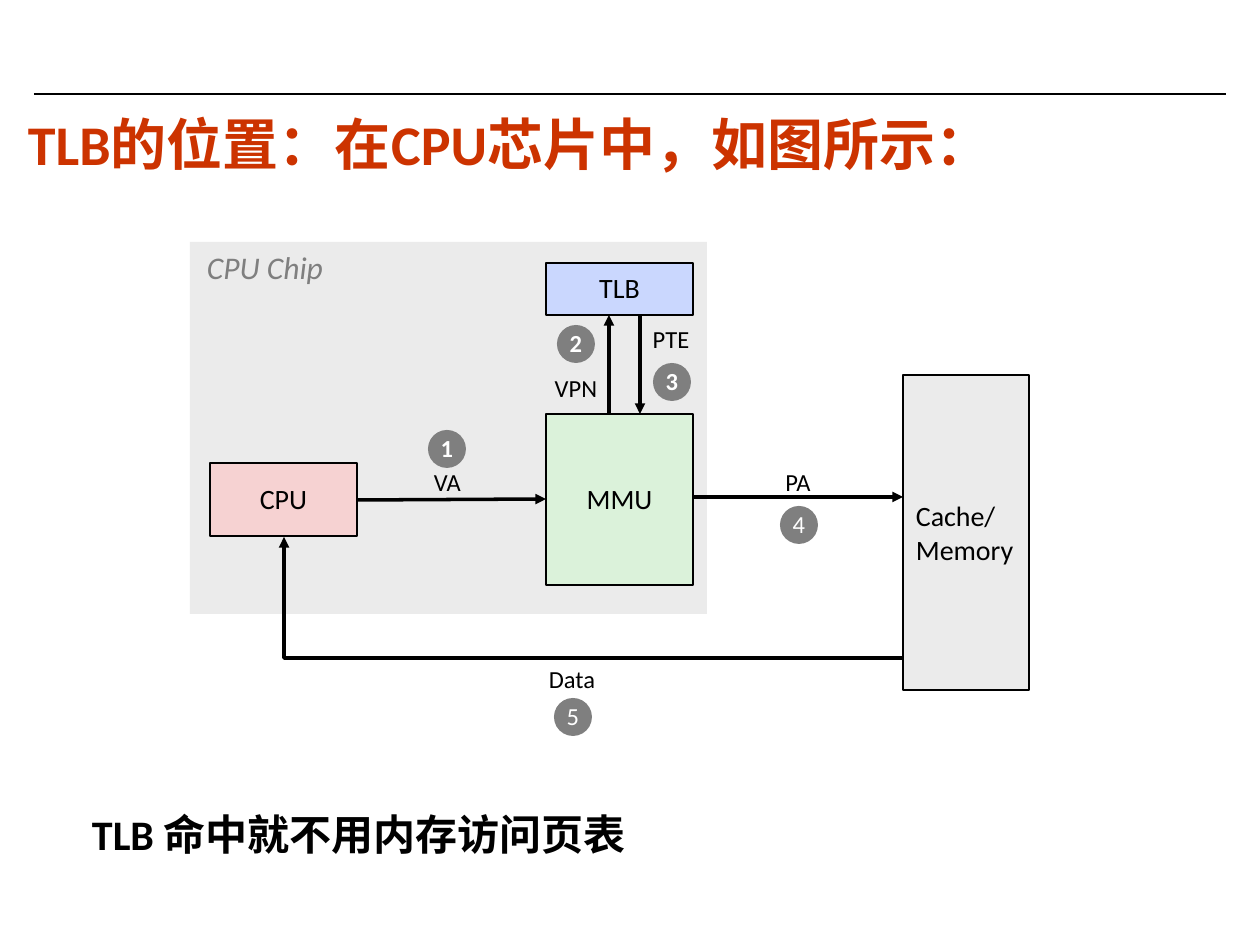
from lxml import etree
from pptx import Presentation
from pptx.dml.color import RGBColor
from pptx.enum.shapes import MSO_CONNECTOR, MSO_SHAPE
from pptx.enum.text import MSO_ANCHOR, MSO_AUTO_SIZE, PP_ALIGN
from pptx.oxml.ns import qn
from pptx.util import Emu, Pt

RECT, OVAL = MSO_SHAPE.RECTANGLE, MSO_SHAPE.OVAL
STRAIGHT = MSO_CONNECTOR.STRAIGHT
LEFT, CENTER = PP_ALIGN.LEFT, PP_ALIGN.CENTER
TOP, MIDDLE = MSO_ANCHOR.TOP, MSO_ANCHOR.MIDDLE
GROW = MSO_AUTO_SIZE.SHAPE_TO_FIT_TEXT
PX = 914400 / 126
BLACK, GRAY, PALE = "000000", "7F7F7F", "EBEBEB"

prs = Presentation()
prs.slide_width, prs.slide_height = Emu(9144000), Emu(6858000)
slide = prs.slides.add_slide(prs.slide_layouts[6])


def put_text(text, at, shape=None, fill=None, border=None, size=14, color=BLACK,
             bold=False, italic=False, align=CENTER, anchor=MIDDLE, spacing=0.98,
             wrap=False, inset=(13, 6)):
    """Place text in a plain box, or in a filled preset shape."""
    place = [Emu(round(n * PX)) for n in at]
    if shape is None:
        box = slide.shapes.add_textbox(*place)
    else:
        box = slide.shapes.add_shape(shape, *place)
        box.shadow.inherit = False
        box.fill.solid()
        box.fill.fore_color.rgb = RGBColor.from_string(fill)
        if border:
            box.line.color.rgb = RGBColor.from_string(BLACK)
            box.line.width = Pt(border)
        else:
            box.line.fill.background()
    frame = box.text_frame
    frame.word_wrap, frame.vertical_anchor = wrap, anchor
    if shape is None and not wrap:
        frame.auto_size = GROW
    frame.margin_left = frame.margin_right = Emu(round(inset[0] * PX))
    frame.margin_top = frame.margin_bottom = Emu(round(inset[1] * PX))
    frame.text = text
    for paragraph in frame.paragraphs:
        paragraph.alignment, paragraph.line_spacing = align, spacing
        font = paragraph.font
        font.name, font.size = "Calibri", Pt(size)
        font.bold, font.italic = bold, italic
        font.color.rgb = RGBColor.from_string(color)


def draw_line(x1, y1, x2, y2, width=2, arrow=True):
    line = slide.shapes.add_connector(
        STRAIGHT, *[Emu(round(n * PX)) for n in (x1, y1, x2, y2)])
    line.line.color.rgb = RGBColor.from_string(BLACK)
    line.line.width = Pt(width)
    if arrow:
        etree.SubElement(line.line._get_or_add_ln(), qn("a:tailEnd"), type="triangle")
    etree.SubElement(line._element.spPr, qn("a:effectLst"))
    return line


# Heading
draw_line(34, 94, 1226, 94, width=1.5, arrow=False)
put_text("TLB的位置：在CPU芯片中，如图所示：", (19, 115, 1201, 67), size=32,
         color="CC3300", bold=True, align=LEFT, anchor=TOP, spacing=0.87,
         wrap=True, inset=(9, 4))

# Chip area
put_text("", (190, 242, 517, 372), RECT, PALE)
put_text("CPU Chip", (194, 242, 150, 50), size=18, color=GRAY, italic=True,
         align=LEFT, anchor=TOP, spacing=1.0)

# Units
units = [
    ("MMU", (546, 414, 147, 171), "DBF2DA"),
    ("CPU", (210, 463, 147, 73), "F6D2D2"),
    ("TLB", (546, 263, 147, 52), "CAD7FE"),
]
for unit, at, fill in units:
    put_text(unit, at, RECT, fill, border=1, size=16)
put_text("Cache/\nMemory", (903, 375, 126, 315), RECT, PALE, border=1.5, size=16,
         align=LEFT, spacing=1.0)

# Arrows between units
for ends in [(357, 500, 546, 499), (693, 497, 903, 497),
             (609, 414, 609, 315), (640, 315, 640, 414)]:
    draw_line(*ends)

# Data return: an elbow turned half round, from memory back to the CPU
data_return = draw_line(284, 537, 903, 658)
data_return._element.spPr.find(qn("a:prstGeom")).set("prst", "bentConnector2")
data_return._element.spPr.find(qn("a:xfrm")).set("rot", "10800000")

# Signal labels, with narrow side insets so that each stays on one line
signals = [
    ("VA", (421, 462, 53, 42)),
    ("PA", (772, 462, 52, 42)),
    ("Data", (536, 659, 72, 42)),
    ("VPN", (542, 368, 68, 42)),
    ("PTE", (640, 319, 62, 42)),
]
for signal, at in signals:
    put_text(signal, at, inset=(4, 6))

# Step numbers
steps = [(428, 430), (557, 325), (653, 363), (780, 506), (554, 698)]
for step, (x, y) in enumerate(steps, start=1):
    put_text(str(step), (x, y, 38, 38), OVAL, GRAY, color="FFFFFF", bold=step <= 3)

# Conclusion
put_text("TLB 命中就不用内存访问页表", (79, 803, 980, 79), size=24, bold=True,
         align=LEFT, anchor=TOP, spacing=1.0, wrap=True)

prs.save("out.pptx")
